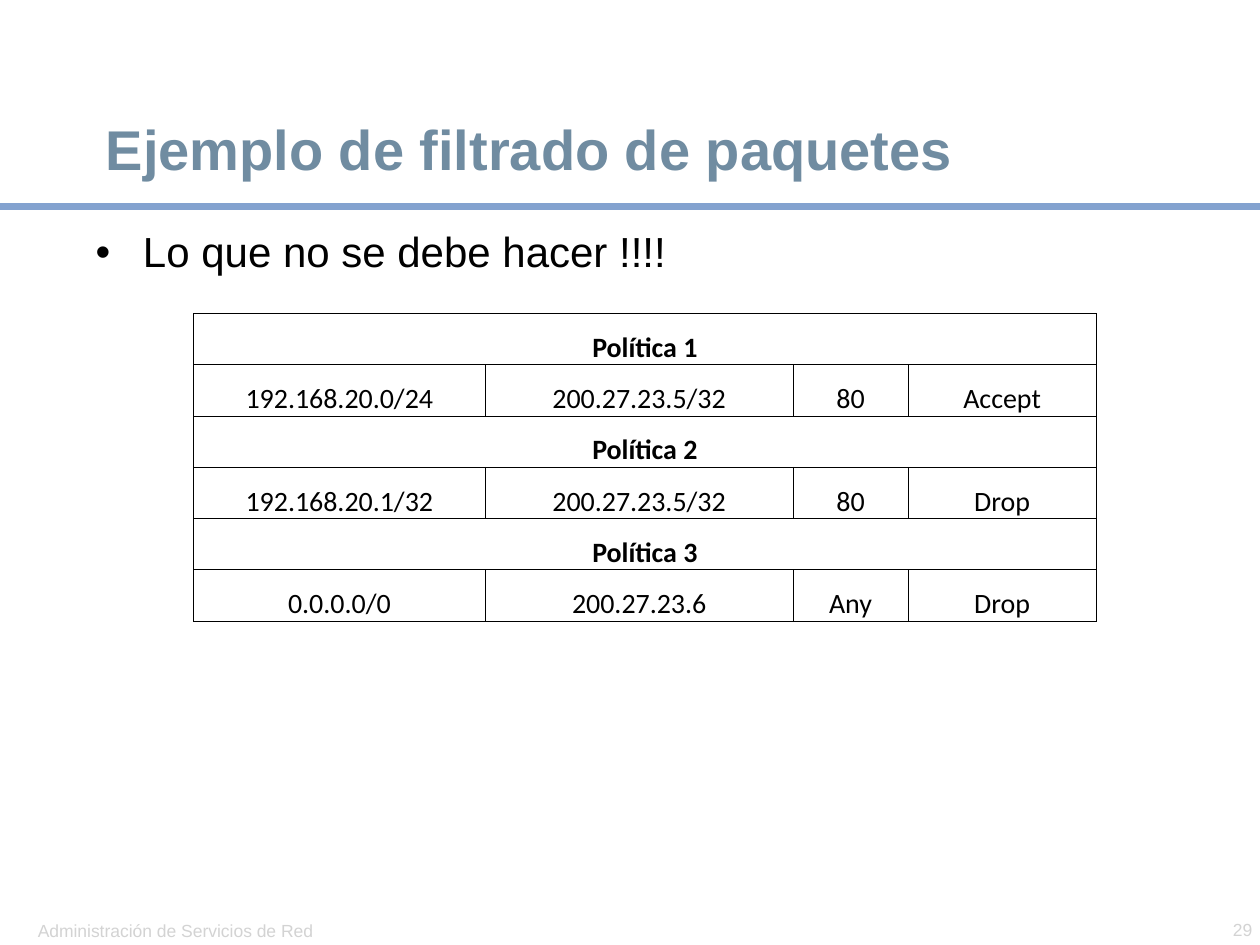
from lxml import etree
from pptx import Presentation
from pptx.dml.color import RGBColor
from pptx.enum.shapes import MSO_CONNECTOR
from pptx.enum.text import MSO_ANCHOR, PP_ALIGN
from pptx.oxml.ns import qn
from pptx.util import Pt

STRAIGHT = MSO_CONNECTOR.STRAIGHT
TOP, BOTTOM = MSO_ANCHOR.TOP, MSO_ANCHOR.BOTTOM
LEFT, CENTER, RIGHT = PP_ALIGN.LEFT, PP_ALIGN.CENTER, PP_ALIGN.RIGHT

BLACK, GREY, SLATE, BLUE = "000000", "D3D3D3", "708CA1", "83A2CF"

TITLE = "Ejemplo de filtrado de paquetes"
WARNING = "Lo que no se debe hacer !!!!"
COURSE = "Administración de Servicios de Red"
PAGE = "29"
POLICIES = [
    ("Política 1", ("192.168.20.0/24", "200.27.23.5/32", "80", "Accept")),
    ("Política 2", ("192.168.20.1/32", "200.27.23.5/32", "80", "Drop")),
    ("Política 3", ("0.0.0.0/0", "200.27.23.6", "Any", "Drop")),
]
COLUMN_WIDTHS = (166.7, 176, 65.6, 107.6)
ROW_HEIGHT = 29.3


def color(value):
    return RGBColor.from_string(value)


def add_run(paragraph, text, size, ink, font="Arial", bold=False):
    run = paragraph.add_run()
    run.text = text
    run.font.name = font
    run.font.size = Pt(size)
    run.font.bold = bold
    run.font.color.rgb = color(ink)


def add_text(slide, box, text, size, ink, bold=False, anchor=BOTTOM, align=LEFT, wrap=True):
    frame = slide.shapes.add_textbox(*map(Pt, box)).text_frame
    frame.word_wrap = wrap
    frame.vertical_anchor = anchor
    frame.margin_left = frame.margin_right = Pt(6.5)
    frame.margin_top = frame.margin_bottom = Pt(3)
    paragraph = frame.paragraphs[0]
    paragraph.alignment = align
    add_run(paragraph, text, size, ink, bold=bold)
    return paragraph


def add_bullet(paragraph, indent):
    properties = paragraph._p.get_or_add_pPr()
    properties.set("marL", str(Pt(indent)))
    properties.set("indent", str(-Pt(indent)))
    bullet_font = etree.SubElement(properties, qn("a:buFont"))
    bullet_font.set("typeface", "Arial")
    etree.SubElement(properties, qn("a:buChar")).set("char", "•")


def add_borders(cell):
    properties = cell._tc.get_or_add_tcPr()
    for position, side in enumerate(("a:lnL", "a:lnR", "a:lnT", "a:lnB")):
        border = etree.Element(qn(side), w=str(Pt(0.5)))
        fill = etree.SubElement(border, qn("a:solidFill"))
        etree.SubElement(fill, qn("a:srgbClr")).set("val", BLACK)
        properties.insert(position, border)


def style_cell(cell):
    cell.fill.background()
    cell.vertical_anchor = BOTTOM
    cell.margin_left = cell.margin_right = cell.margin_top = Pt(0.7)
    cell.margin_bottom = Pt(0)
    add_borders(cell)


def fill_cell(cell, text, bold=False):
    paragraph = cell.text_frame.paragraphs[0]
    paragraph.alignment = CENTER
    add_run(paragraph, text, 16, BLACK, "Calibri", bold)


def add_policies(slide, left, top):
    row_count = 2 * len(POLICIES)
    table = slide.shapes.add_table(
        row_count, len(COLUMN_WIDTHS), Pt(left), Pt(top),
        Pt(sum(COLUMN_WIDTHS)), Pt(row_count * ROW_HEIGHT)).table
    table.first_row = table.horz_banding = False
    for column, width in zip(table.columns, COLUMN_WIDTHS):
        column.width = Pt(width)
    for row in table.rows:
        row.height = Pt(ROW_HEIGHT)
    for cell in table.iter_cells():
        style_cell(cell)
    for index, (policy, rule) in enumerate(POLICIES):
        heading = table.cell(2 * index, 0)
        heading.merge(table.cell(2 * index, len(COLUMN_WIDTHS) - 1))
        fill_cell(heading, policy, True)
        for column, value in enumerate(rule):
            fill_cell(table.cell(2 * index + 1, column), value)


def main():
    deck = Presentation()
    deck.slide_width, deck.slide_height = Pt(720), Pt(540)
    slide = deck.slides.add_slide(deck.slide_layouts[6])

    add_text(slide, (15.1, 522, 186, 18.7), COURSE, 10, GREY)
    add_text(slide, (663.8, 521.5, 58.3, 18.7), PAGE, 10, GREY, align=RIGHT, wrap=False)

    rule = slide.shapes.add_connector(STRAIGHT, Pt(0), Pt(118), Pt(720), Pt(118))
    rule.line.color.rgb = color(BLUE)
    rule.line.width = Pt(4.5)
    etree.SubElement(rule._element.spPr, qn("a:effectLst"))

    title = add_text(slide, (54, 31.7, 640, 75.6), TITLE, 32, SLATE, bold=True)
    title.line_spacing = 0.9

    warning = add_text(slide, (48.2, 128.2, 639.4, 51), WARNING, 24, BLACK, anchor=TOP)
    warning.line_spacing = 0.95
    warning.space_before = Pt(15)
    add_bullet(warning, 27)

    add_policies(slide, 110.6, 179.2)
    deck.save("out.pptx")


if __name__ == "__main__":
    main()
